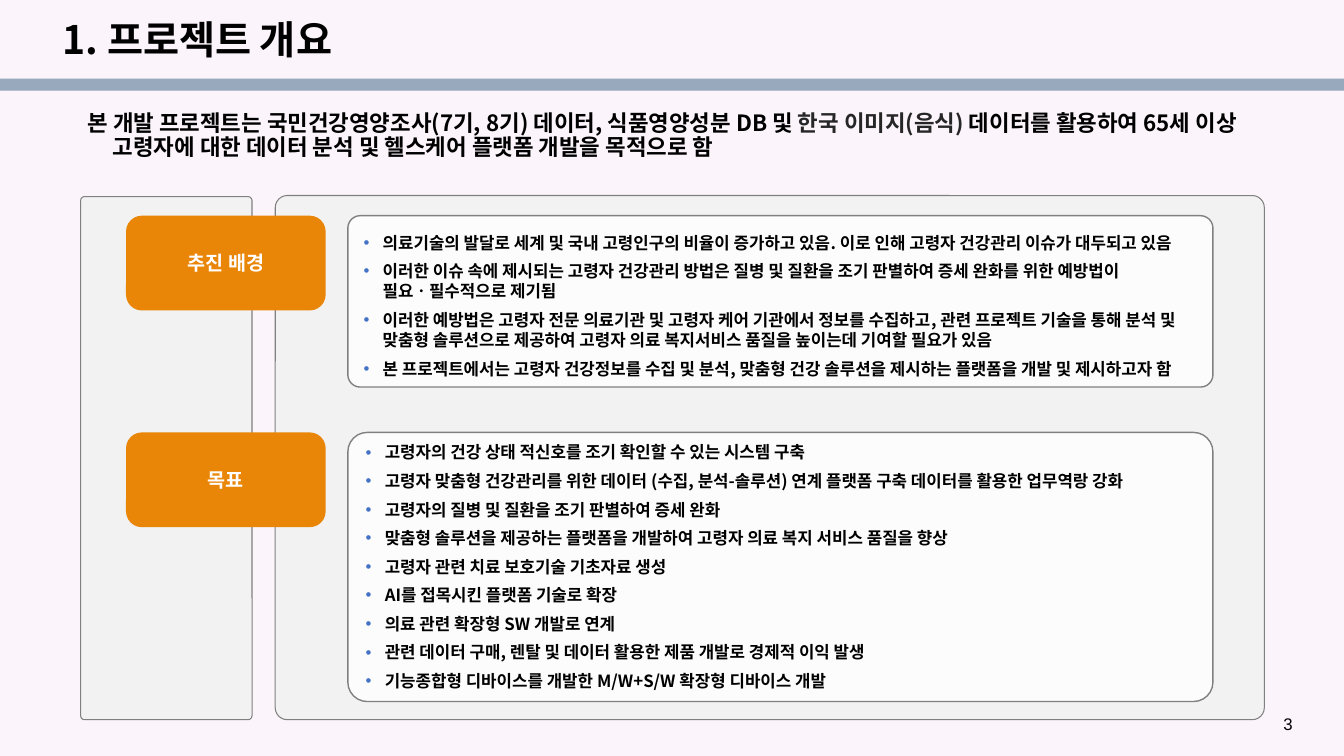
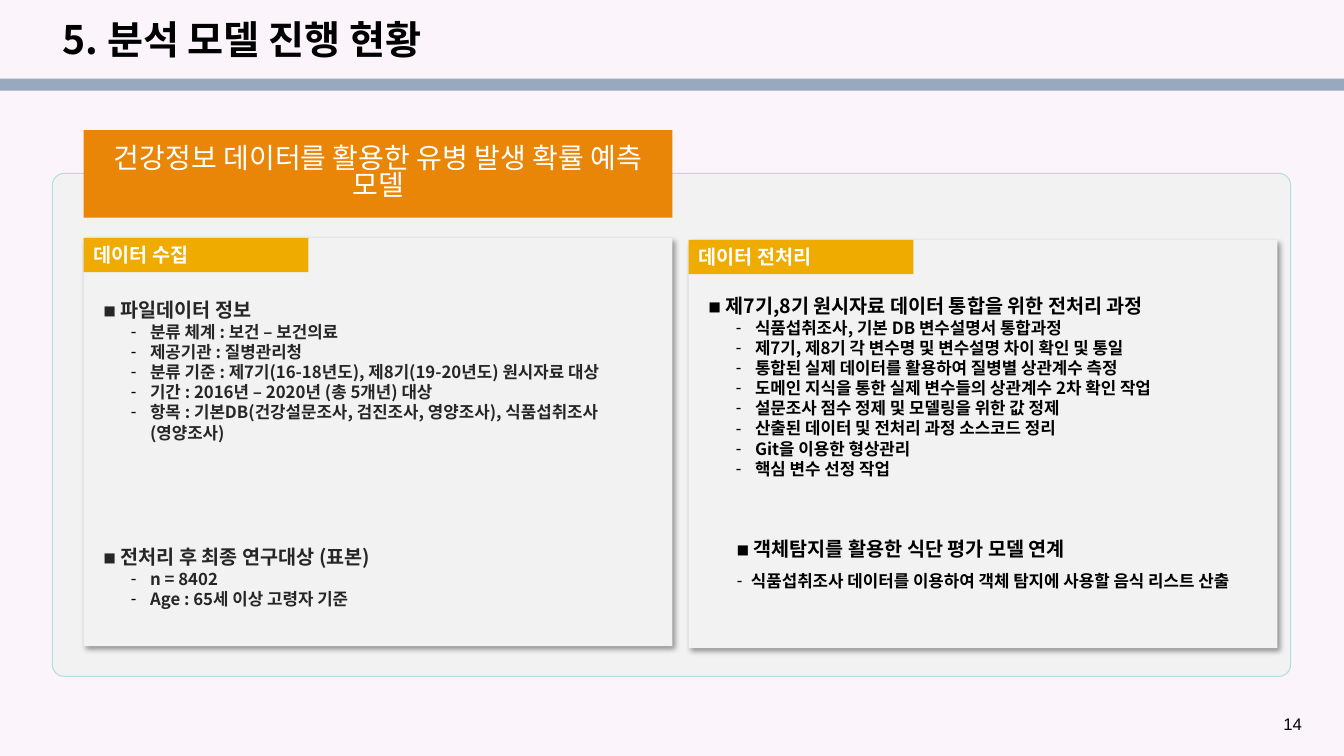
from lxml import etree
from pptx import Presentation
from pptx.dml.color import RGBColor
from pptx.enum.shapes import MSO_SHAPE
from pptx.enum.text import MSO_ANCHOR, PP_ALIGN
from pptx.oxml.ns import qn
from pptx.util import Inches, Pt

RECTANGLE, ROUNDED = MSO_SHAPE.RECTANGLE, MSO_SHAPE.ROUNDED_RECTANGLE
TOP, MIDDLE, BOTTOM = MSO_ANCHOR.TOP, MSO_ANCHOR.MIDDLE, MSO_ANCHOR.BOTTOM
LEFT, CENTER = PP_ALIGN.LEFT, PP_ALIGN.CENTER

FONT = "Noto Sans CJK KR"
COLORS = {
    "background": "FBF4FB", "band": "98A8BD", "panel": "F2F2F2",
    "gray": "808080", "mint": "B6DCDF", "orange": "E98607",
    "yellow": "EFAB00", "bullet": "4472C4", "white": "FFFFFF",
    "black": "000000", "dark": "262626",
}

# Content: project overview
OVERVIEW_TITLE = "1. 프로젝트 개요"
OVERVIEW_SUMMARY = [
    ("본 개발 프로젝트는 국민건강영양조사(7기, 8기) 데이터, 식품영양성분 DB 및 ", "black"),
    ("한국 이미지(음식) ", "dark"),
    ("데이터를 활용하여 65세 이상 고령자에 대한 데이터 분석 및 헬스케어 플랫폼 개발을 목적으로 함", "black"),
]
# label, top, card height, bullet items
OVERVIEW_SECTIONS = [
    ("추진 배경", 2.14, 1.7, [
        "의료기술의 발달로 세계 및 국내 고령인구의 비율이 증가하고 있음. 이로 인해 고령자 건강관리 이슈가 대두되고 있음",
        "이러한 이슈 속에 제시되는 고령자 건강관리 방법은 질병 및 질환을 조기 판별하여 증세 완화를 위한 예방법이 필요ㆍ필수적으로 제기됨",
        "이러한 예방법은 고령자 전문 의료기관 및 고령자 케어 기관에서 정보를 수집하고, 관련 프로젝트 기술을 통해 분석 및 맞춤형 솔루션으로 제공하여 고령자 의료 복지서비스 품질을 높이는데 기여할 필요가 있음",
        "본 프로젝트에서는 고령자 건강정보를 수집 및 분석, 맞춤형 건강 솔루션을 제시하는 플랫폼을 개발 및 제시하고자 함",
    ]),
    ("목표", 4.29, 2.67, [
        "고령자의 건강 상태 적신호를 조기 확인할 수 있는 시스템 구축",
        "고령자 맞춤형 건강관리를 위한 데이터 (수집, 분석-솔루션) 연계 플랫폼 구축 데이터를 활용한 업무역랑 강화",
        "고령자의 질병 및 질환을 조기 판별하여 증세 완화",
        "맞춤형 솔루션을 제공하는 플랫폼을 개발하여 고령자 의료 복지 서비스 품질을 향상",
        "고령자 관련 치료 보호기술 기초자료 생성",
        "AI를 접목시킨 플랫폼 기술로 확장",
        "의료 관련 확장형 SW 개발로 연계",
        "관련 데이터 구매, 렌탈 및 데이터 활용한 제품 개발로 경제적 이익 발생",
        "기능종합형 디바이스를 개발한 M/W+S/W 확장형 디바이스 개발",
    ]),
]

# Content: model progress
PROGRESS_TITLE = "5. 분석 모델 진행 현황"
MODEL_NAME = "건강정보 데이터를 활용한 유병 발생 확률 예측 모델"
# label, left, top
PROGRESS_PANELS = [("데이터 수집", 0.83, 2.36), ("데이터 전처리", 6.83, 2.38)]
# left, top, height, colour, item margin, item hang, item line spacing, heading, items
PROGRESS_LISTS = [
    (0.93, 2.79, 1.46, "dark", 0.46, 0.19, 1, "◼ 파일데이터 정보", [
        "분류 체계 : 보건 – 보건의료",
        "제공기관 : 질병관리청",
        "분류 기준 : 제7기(16-18년도), 제8기(19-20년도) 원시자료 대상",
        "기간 : 2016년 – 2020년 (총 5개년) 대상",
        "항목 : 기본DB(건강설문조사, 검진조사, 영양조사), 식품섭취조사(영양조사)",
    ]),
    (0.93, 5.24, 1.06, "dark", 0.46, 0.19, 1, "◼ 전처리 후 최종 연구대상 (표본)", [
        "n = 8402",
        "Age : 65세 이상 고령자 기준",
    ]),
    (6.93, 2.75, 2.1, "black", 0.46, 0.19, 1, "◼ 제7기,8기 원시자료 데이터 통합을 위한 전처리 과정", [
        "식품섭취조사, 기본 DB 변수설명서 통합과정",
        "제7기, 제8기 각 변수명 및 변수설명 차이 확인 및 통일",
        "통합된 실제 데이터를 활용하여 질병별 상관계수 측정",
        "도메인 지식을 통한 실제 변수들의 상관계수 2차 확인 작업",
        "설문조사 점수 정제 및 모델링을 위한 값 정제",
        "산출된 데이터 및 전처리 과정 소스코드 정리",
        "Git을 이용한 형상관리",
        "핵심 변수 선정 작업",
    ]),
    (7.21, 5.16, 0.8, "black", 0.14, 0.14, 1.5, "◼ 객체탐지를 활용한 식단 평가 모델 연계", [
        "식품섭취조사 데이터를 이용하여 객체 탐지에 사용할 음식 리스트 산출",
    ]),
]


def color(name):
    return RGBColor.from_string(COLORS[name])


def add_xml(parent, tag, **attributes):
    return etree.SubElement(parent, qn(tag), attributes)


# Shapes
def add_box(slide, kind, box, fill, line=None, line_width=0.75, corner=None):
    shape = slide.shapes.add_shape(kind, *map(Inches, box))
    shape.shadow.inherit = False
    shape.fill.solid()
    shape.fill.fore_color.rgb = color(fill)
    if line:
        shape.line.color.rgb = color(line)
        shape.line.width = Pt(line_width)
    else:
        shape.line.fill.background()
    if corner is not None:
        shape.adjustments[0] = corner
    return shape


def set_transparency(shape, opacity):
    fill_color = shape.fill._xPr.find(qn("a:solidFill"))[0]
    add_xml(fill_color, "a:alpha", val=str(opacity * 1000))


def add_drop_shadow(shape):
    effects = shape._element.spPr.find(qn("a:effectLst"))
    shadow = add_xml(effects, "a:outerShdw", blurRad=str(Pt(4)), dist=str(Pt(3)),
                     dir="2700000", algn="tl", rotWithShape="0")
    shadow_color = add_xml(shadow, "a:srgbClr", val=COLORS["black"])
    add_xml(shadow_color, "a:alpha", val="40000")


# Text
def add_text_box(slide, box):
    return slide.shapes.add_textbox(*map(Inches, box))


def set_frame(shape, anchor=TOP, margins=(0.1, 0.05, 0.1, 0.05)):
    frame = shape.text_frame
    frame.word_wrap = True
    frame.vertical_anchor = anchor
    (frame.margin_left, frame.margin_top,
     frame.margin_right, frame.margin_bottom) = map(Inches, margins)
    return frame


def format_runs(paragraph, size, color_name, bold=True, font=FONT):
    for run in paragraph.runs:
        run.font.size = Pt(size)
        run.font.bold = bold
        run.font.color.rgb = color(color_name)
        run.font.name = font
        add_xml(run._r.get_or_add_rPr(), "a:ea", typeface=font)


def write(frame, text, size, color_name, align=LEFT, spacing=None, **style):
    paragraph = frame.paragraphs[0]
    paragraph.text = text
    paragraph.alignment = align
    if spacing:
        paragraph.line_spacing = spacing
    format_runs(paragraph, size, color_name, **style)


def set_indent(paragraph, margin, hang):
    properties = paragraph._p.get_or_add_pPr()
    properties.set("marL", str(Inches(margin)))
    properties.set("indent", str(-Inches(hang)))
    return properties


def write_bullets(paragraphs, items, mark, mark_color, margin, hang, color_name):
    for paragraph, item in zip(paragraphs, items):
        paragraph.text = item
        paragraph.alignment = LEFT
        properties = set_indent(paragraph, margin, hang)
        bullet_color = add_xml(properties, "a:buClr")
        add_xml(bullet_color, "a:srgbClr", val=COLORS[mark_color])
        add_xml(properties, "a:buFont", typeface="Arial")
        add_xml(properties, "a:buChar", char=mark)
        format_runs(paragraph, 12, color_name)


# Parts shared by both slides
def add_base_slide(presentation, title, number):
    slide = presentation.slides.add_slide(presentation.slide_layouts[6])
    slide.background.fill.solid()
    slide.background.fill.fore_color.rgb = color("background")
    add_box(slide, RECTANGLE, (0, 0.78, 13.33, 0.12), "band")
    number_box = add_text_box(slide, (12.63, 7.05, 0.52, 0.27))
    write(set_frame(number_box, MIDDLE), number, 12, "black", bold=False, font="Arial")
    title_box = add_text_box(slide, (0.52, 0.15, 11.5, 0.53))
    write(set_frame(title_box, MIDDLE), title, 28, "black", spacing=0.9)
    return slide


def build_overview(presentation):
    slide = add_base_slide(presentation, OVERVIEW_TITLE, "3")

    # Summary sentence
    frame = set_frame(add_text_box(slide, (0.52, 1.06, 12.01, 0.71)))
    paragraph = frame.paragraphs[0]
    set_indent(paragraph, 0.5, 0.25)
    paragraph.line_spacing = 0.9
    for text, _ in OVERVIEW_SUMMARY:
        paragraph.add_run().text = text
    format_runs(paragraph, 16, "black")
    for run, (_, color_name) in zip(paragraph.runs, OVERVIEW_SUMMARY):
        run.font.color.rgb = color(color_name)

    # Back panels
    for box in [(2.73, 1.94, 9.81, 5.2), (0.8, 1.95, 1.7, 5.19)]:
        add_box(slide, ROUNDED, box, "panel", "gray", corner=0.023)

    # Labels and cards
    for label, top, height, items in OVERVIEW_SECTIONS:
        tag = add_box(slide, ROUNDED, (1.25, top, 1.98, 0.94), "orange", corner=0.167)
        write(set_frame(tag, MIDDLE, (0.08, 0.04, 0.08, 0.04)), label, 14, "white", CENTER)
        card = add_box(slide, ROUNDED, (3.45, top, 8.58, height), "white", "gray", 1, 0.072)
        set_transparency(card, 83)
        frame = set_frame(card, BOTTOM, (0.12, 0.05, 0.1, 0.05))
        for _ in items[1:]:
            frame.add_paragraph().space_before = Pt(6)
        write_bullets(frame.paragraphs, items, "•", "bullet", 0.19, 0.19, "black")


def build_progress(presentation):
    slide = add_base_slide(presentation, PROGRESS_TITLE, "14")

    # Back panel and model name
    add_box(slide, ROUNDED, (0.52, 1.72, 12.28, 4.99), "panel", "mint", corner=0.023)
    banner = add_box(slide, RECTANGLE, (0.83, 1.29, 5.84, 0.87), "orange")
    write(set_frame(banner, MIDDLE), MODEL_NAME, 20, "white", CENTER, 0.8, bold=False)

    # Panels with their labels
    for label, left, top in PROGRESS_PANELS:
        add_drop_shadow(add_box(slide, RECTANGLE, (left, top, 5.84, 4.05), "panel"))
        tag = add_box(slide, RECTANGLE, (left, top, 2.23, 0.34), "yellow")
        write(set_frame(tag), label, 14, "white")

    # Headed lists
    for left, top, height, color_name, margin, hang, spacing, heading, items in PROGRESS_LISTS:
        frame = set_frame(add_text_box(slide, (left, top, 5.58, height)))
        write(frame, heading, 14, color_name, spacing=1.5)
        for _ in items:
            frame.add_paragraph().line_spacing = spacing
        write_bullets(frame.paragraphs[1:], items, "-", "black", margin, hang, color_name)


def main():
    presentation = Presentation()
    presentation.slide_width = Inches(13.33)
    presentation.slide_height = Inches(7.5)
    build_overview(presentation)
    build_progress(presentation)
    presentation.save("out.pptx")


if __name__ == "__main__":
    main()
